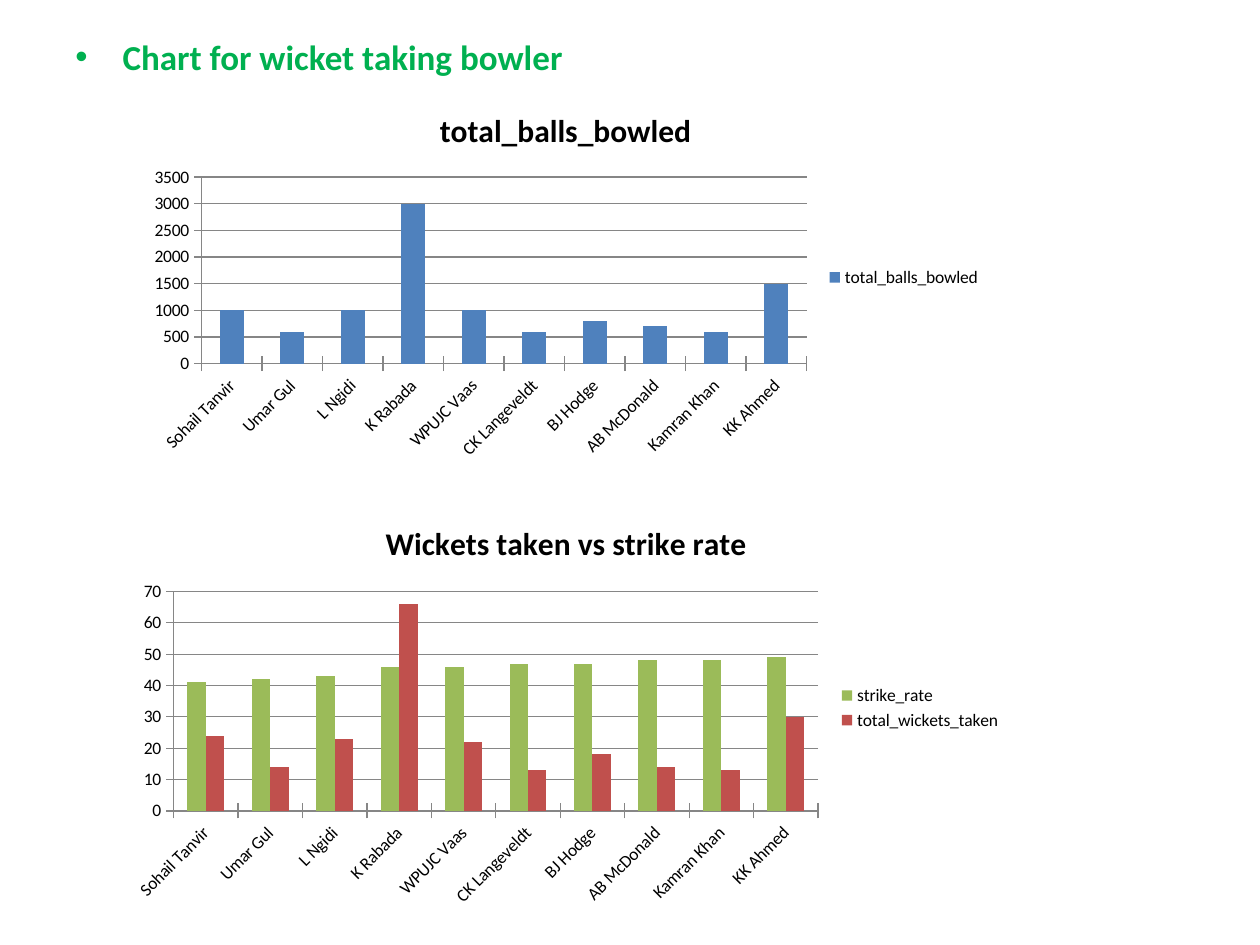
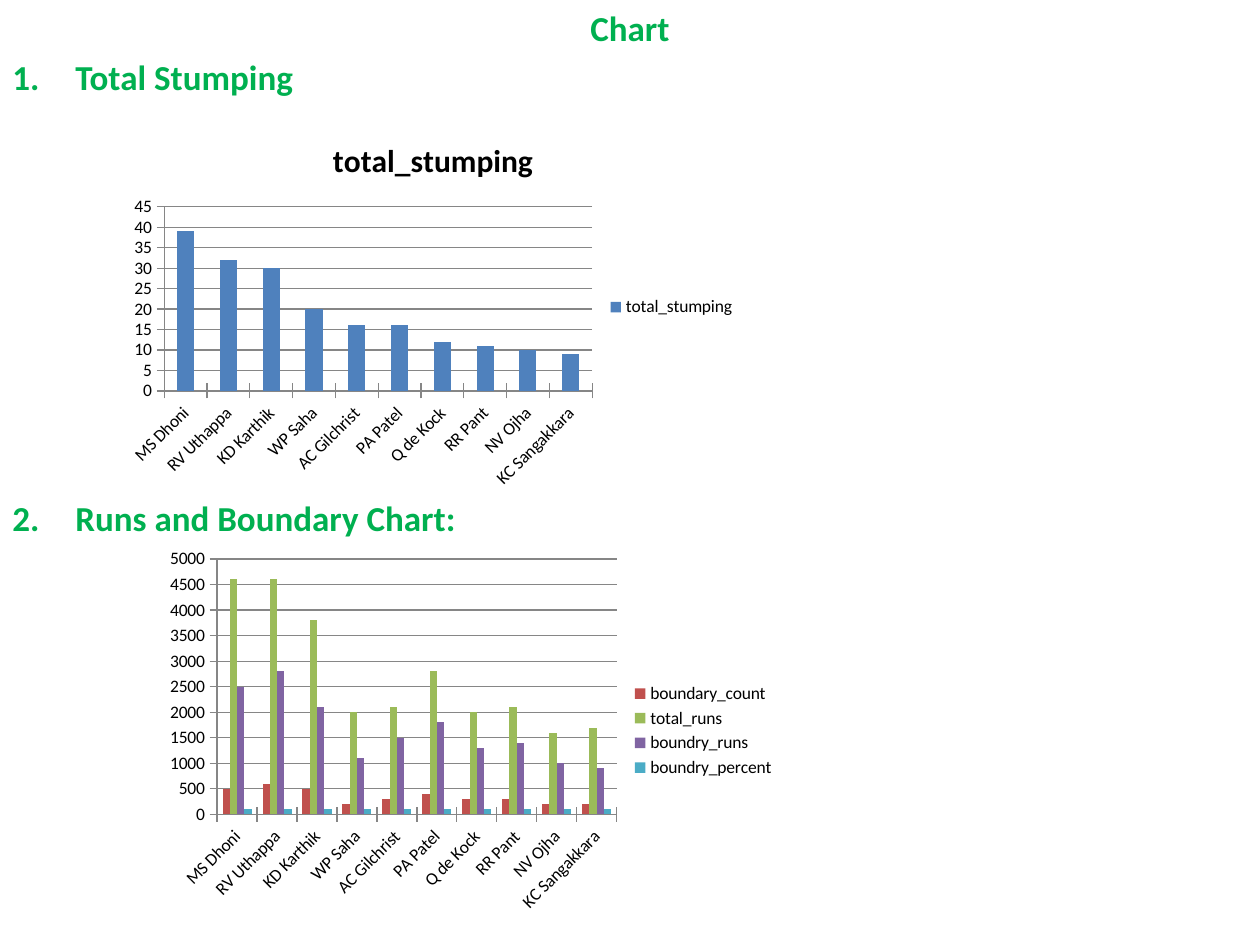
import pptx
import pptx.chart.data
import pptx.dml.color
import pptx.enum.chart
import pptx.enum.text
import pptx.util
from lxml import etree
from pptx.oxml.ns import qn

Pt = pptx.util.Pt

COLORS = {
    "heading": "00B050", "text": "000000", "line": "868686",
    "blue": "4F81BD", "red": "C0504D", "green": "9BBB59",
    "purple": "8064A2", "teal": "4BACC6",
}
HEADING = {"name": "Calibri", "size": Pt(20), "bold": True}
CHART_TEXT = {"name": "Calibri", "size": Pt(10)}
CHART_TITLE = {"name": "Calibri", "size": Pt(18), "bold": True}

BOWLERS = ["Sohail Tanvir", "Umar Gul", "L Ngidi", "K Rabada", "WPUJC Vaas",
           "CK Langeveldt", "BJ Hodge", "AB McDonald", "Kamran Khan", "KK Ahmed"]
KEEPERS = ["MS Dhoni", "RV Uthappa", "KD Karthik", "WP Saha", "AC Gilchrist",
           "PA Patel", "Q de Kock", "RR Pant", "NV Ojha", "KC Sangakkara"]


def rgb(name):
    return pptx.dml.color.RGBColor.from_string(COLORS[name])


def set_font(font, style, color):
    for key, value in style.items():
        setattr(font, key, value)
    font.color.rgb = rgb(color)


class Deck:
    def __init__(self, width, height):
        self.prs = pptx.Presentation()
        self.prs.slide_width, self.prs.slide_height = Pt(width), Pt(height)
        self.slide = None

    def add_slide(self):
        self.slide = self.prs.slides.add_slide(self.prs.slide_layouts[6])

    def add_headings(self, box, headings):
        """Each heading is (text, space before, indent, marker tag, marker attributes)."""
        tf = self.slide.shapes.add_textbox(*map(Pt, box)).text_frame
        tf.word_wrap = True
        for i, (text, before, indent, tag, attrs) in enumerate(headings):
            p = tf.add_paragraph() if i else tf.paragraphs[0]
            p.space_before = Pt(before)
            r = p.add_run()
            r.text = text
            set_font(r.font, HEADING, "heading")
            if tag:
                pPr = p._p.get_or_add_pPr()
                pPr.set("marL", str(Pt(indent)))
                pPr.set("indent", str(-Pt(indent)))
                if tag == "a:buChar":
                    etree.SubElement(pPr, qn("a:buFont"), typeface="Arial")
                etree.SubElement(pPr, qn(tag), **attrs)
            else:
                p.alignment = pptx.enum.text.PP_ALIGN.CENTER

    def add_columns(self, box, categories, series, top, step, title=None):
        """Each series is (name, colour, values); top and step set the value scale."""
        data = pptx.chart.data.CategoryChartData()
        data.categories = categories
        for name, _, values in series:
            data.add_series(name, values)
        chart = self.slide.shapes.add_chart(
            pptx.enum.chart.XL_CHART_TYPE.COLUMN_CLUSTERED, *map(Pt, box), data).chart
        set_font(chart.font, CHART_TEXT, "text")

        chart.has_title = title is not None
        if title:
            r = chart.chart_title.text_frame.paragraphs[0].add_run()
            r.text = title
            set_font(r.font, CHART_TITLE, "text")
            chart.chart_title.include_in_layout = False
        chart.has_legend = True
        chart.legend.position = pptx.enum.chart.XL_LEGEND_POSITION.RIGHT
        chart.legend.include_in_layout = False

        plot = chart.plots[0]
        plot.gap_width, plot.overlap, plot.vary_by_categories = 150, 0, False
        for ser, (_, color, _) in zip(plot.series, series):
            ser.format.fill.solid()
            ser.format.fill.fore_color.rgb = rgb(color)

        axis = chart.value_axis
        axis.minimum_scale, axis.maximum_scale, axis.major_unit = 0, top, step
        axis.has_major_gridlines = True
        for item in (axis, chart.category_axis):
            item.major_tick_mark = pptx.enum.chart.XL_TICK_MARK.CROSS
        for item in (axis, chart.category_axis, axis.major_gridlines):
            item.format.line.color.rgb = rgb("line")
            item.format.line.width = Pt(0.75)


def bowler_slide(deck):
    deck.add_slide()
    deck.add_headings((36, 16.5, 648, 500), [
        ("Chart for wicket taking bowler", 4, 27, "a:buChar", {"char": "•"})])
    deck.add_columns((78.5, 50.5, 489.5, 216), BOWLERS, [
        ("total_balls_bowled", "blue",
         [1000, 600, 1000, 3000, 1000, 600, 800, 700, 600, 1500]),
    ], 3500, 500, "total_balls_bowled")
    deck.add_columns((67.5, 286.5, 512, 236), BOWLERS, [
        ("strike_rate", "green", [41, 42, 43, 46, 46, 47, 47, 48, 48, 49]),
        ("total_wickets_taken", "red", [24, 14, 23, 66, 22, 13, 18, 14, 13, 30]),
    ], 70, 10, "Wickets taken vs strike rate")


def keeper_slide(deck):
    number = ("a:buAutoNum", {"type": "arabicPeriod"})
    deck.add_slide()
    deck.add_headings((0, 0, 720, 540), [
        ("Chart", 4, 0, None, None),
        ("Total Stumping", 4, 36, *number),
        ("Runs and Boundary Chart:", 228, 36, *number)])
    deck.add_columns((67.5, 67.5, 360, 216), KEEPERS, [
        ("total_stumping", "blue", [39, 32, 30, 20, 16, 16, 12, 11, 10, 9]),
    ], 45, 5, "total_stumping")
    deck.add_columns((90, 309.5, 360, 216), KEEPERS, [
        ("boundary_count", "red",
         [500, 600, 500, 200, 300, 400, 300, 300, 200, 200]),
        ("total_runs", "green",
         [4600, 4600, 3800, 2000, 2100, 2800, 2000, 2100, 1600, 1700]),
        ("boundry_runs", "purple",
         [2500, 2800, 2100, 1100, 1500, 1800, 1300, 1400, 1000, 900]),
        ("boundry_percent", "teal", [100] * len(KEEPERS)),
    ], 5000, 500)


def main():
    deck = Deck(720, 540)
    bowler_slide(deck)
    keeper_slide(deck)
    deck.prs.save("out.pptx")


if __name__ == "__main__":
    main()
